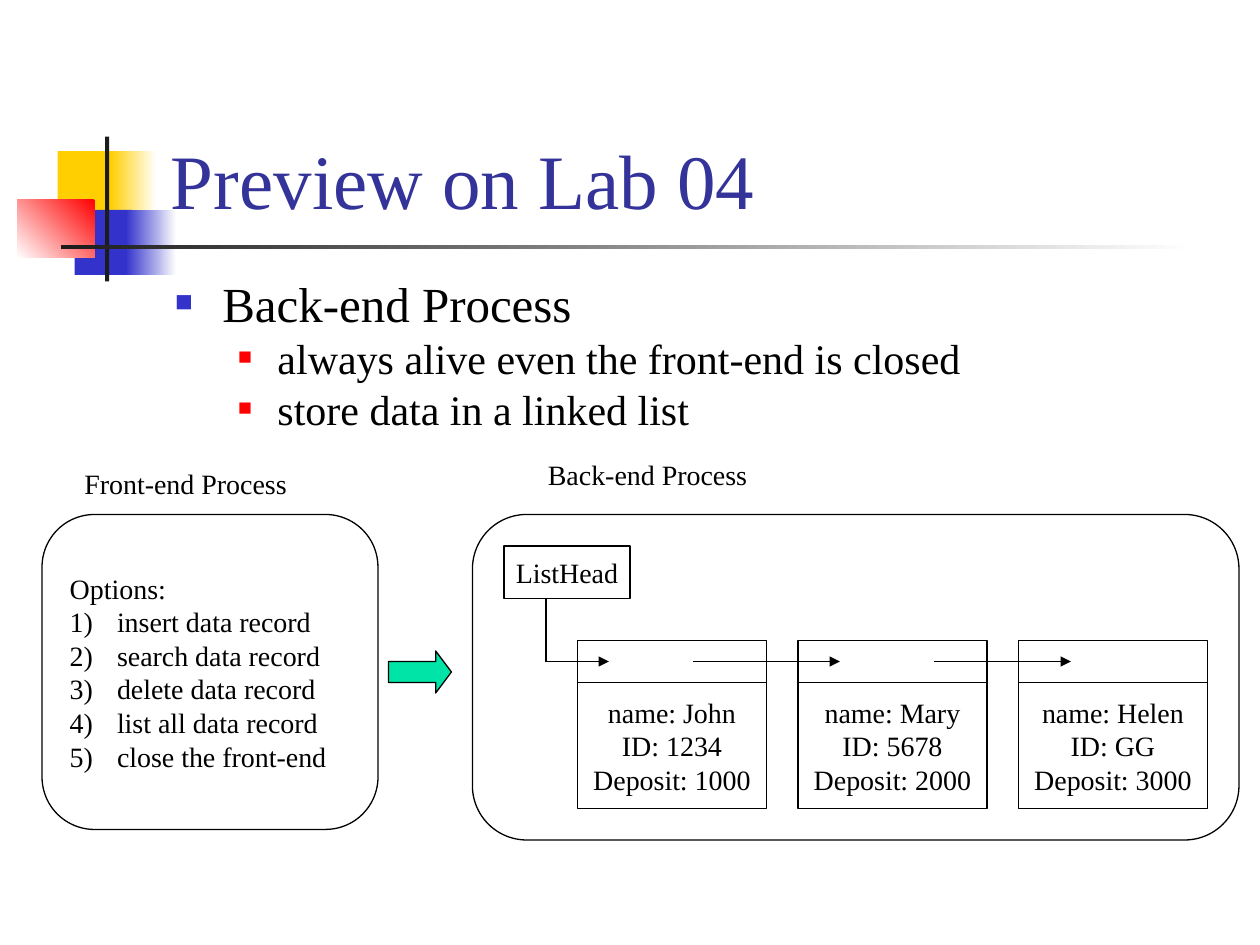
from dataclasses import dataclass
from typing import Optional

from lxml.etree import SubElement as Sub
from pptx import Presentation
from pptx.dml.color import RGBColor
from pptx.enum.shapes import MSO_CONNECTOR as Conn, MSO_SHAPE as Kind
from pptx.enum.text import MSO_ANCHOR as Anchor, PP_ALIGN as Align
from pptx.oxml.ns import qn
from pptx.util import Inches, Pt

CELL = 1 / 12
FACE = "Times New Roman"
BLACK, WHITE = "000000", "FFFFFF"
GOLD, BLUE, RED, DARK = "FFCF01", "3333CC", "FF0000", "1C1C1C"


@dataclass(frozen=True)
class Box:
    col: float
    row: float
    wide: float
    high: float

    def place(self) -> tuple:
        return tuple(cells(n) for n in (self.col, self.row, self.wide, self.high))


@dataclass(frozen=True)
class Block:
    box: Box
    first: str
    last: Optional[str] = None
    angle: float = 180


@dataclass(frozen=True)
class Mark:
    color: str
    share: int = 100
    char: str = ""


@dataclass(frozen=True)
class Para:
    text: str
    size: float = 16
    color: str = BLACK
    level: int = 0
    left: float = 0
    hang: float = 0
    mark: Optional[Mark] = None
    lead: float = 1
    before: float = 0


@dataclass(frozen=True)
class Node:
    name: str
    code: str
    money: int


@dataclass(frozen=True)
class Wire:
    x1: float
    y1: float
    x2: float
    y2: float
    arrow: bool = True


def cells(n: float) -> int:
    return Inches(n * CELL)


def tint(code: str) -> RGBColor:
    return RGBColor.from_string(code)


def shape(page, box: Box, kind=Kind.RECTANGLE, fill: str = "", line: str = BLACK):
    item = page.shapes.add_shape(kind, *box.place())
    item.shadow.inherit = False
    if fill:
        item.fill.solid()
        item.fill.fore_color.rgb = tint(fill)
    else:
        item.fill.background()
    if line:
        item.line.color.rgb = tint(line)
        item.line.width = Pt(0.75)
    else:
        item.line.fill.background()
    return item


def block(page, part: Block) -> None:
    item = shape(page, part.box, fill=part.first, line="")
    if part.last:
        item.fill.gradient()
        item.fill.gradient_angle = part.angle
        for stop, code in zip(item.fill.gradient_stops, (part.first, part.last)):
            stop.color.rgb = tint(code)


def bullet(props, mark: Mark) -> None:
    Sub(Sub(props, qn("a:buClr")), qn("a:srgbClr"), val=mark.color)
    Sub(props, qn("a:buSzPct"), val=str(mark.share * 1000))
    Sub(props, qn("a:buFont"), typeface=FACE)
    if mark.char:
        Sub(props, qn("a:buChar"), char=mark.char)
    else:
        Sub(props, qn("a:buAutoNum"), type="arabicParenR")


def write(item, paras: list[Para], align=Align.LEFT, anchor=Anchor.MIDDLE,
          wrap: bool = True) -> None:
    frame = item.text_frame
    frame.word_wrap = wrap
    frame.vertical_anchor = anchor
    for i, para in enumerate(paras):
        p = frame.paragraphs[0] if i == 0 else frame.add_paragraph()
        p.text, p.level, p.alignment = para.text, para.level, align
        p.line_spacing, p.space_before = para.lead, Pt(para.before)
        props = p._p.get_or_add_pPr()
        props.set("marL", str(cells(para.left)))
        props.set("indent", str(cells(-para.hang)))
        if para.mark:
            bullet(props, para.mark)
        p.font.name, p.font.size = FACE, Pt(para.size)
        p.font.color.rgb = tint(para.color)


def label(page, box: Box, paras: list[Para], anchor=Anchor.TOP) -> None:
    write(page.shapes.add_textbox(*box.place()), paras, anchor=anchor)


def wire(page, run: Wire) -> None:
    ends = (cells(n) for n in (run.x1, run.y1, run.x2, run.y2))
    item = page.shapes.add_connector(Conn.STRAIGHT, *ends)
    item.line.color.rgb = tint(BLACK)
    item.line.width = Pt(0.75)
    if run.arrow:
        Sub(item.line._get_or_add_ln(), qn("a:tailEnd"), type="triangle")
    Sub(item._element.spPr, qn("a:effectLst"))


def node(page, col: float, data: Node) -> None:
    body = shape(page, Box(col, 65, 18, 12))
    lines = (f"name: {data.name}", f"ID: {data.code}", f"Deposit: {data.money}")
    write(body, [Para(t) for t in lines], Align.CENTER, wrap=False)
    shape(page, Box(col, 61, 18, 4))


BLOCKS = [
    Block(Box(5.5, 14.4, 5.8, 6.2), GOLD),
    Block(Box(10.5, 14.4, 4.4, 6.2), WHITE, GOLD),
    Block(Box(7.1, 20, 5.5, 6.2), BLUE),
    Block(Box(12, 20, 4.8, 6.2), WHITE, BLUE),
    Block(Box(1.65, 19, 7.4, 5.55), RED, WHITE, 225),
    Block(Box(10, 13, 0.4, 13.8), DARK),
    Block(Box(5.8, 23.35, 108, 0.4), WHITE, DARK),
]
NODES = [Node("John", "1234", 1000), Node("Mary", "5678", 2000), Node("Helen", "GG", 3000)]
WIRES = [
    Wire(66, 63, 80, 63),
    Wire(89, 63, 102, 63),
    Wire(52, 57, 52, 63, False),
    Wire(52, 63, 58, 63),
]
POINTS = ["always alive even the front-end is closed", "store data in a linked list"]
TASKS = ["insert data record", "search data record", "delete data record",
         "list all data record", "close the front-end"]


def main() -> None:
    deck = Presentation()
    deck.slide_width, deck.slide_height = cells(120), cells(90)
    page = deck.slides.add_slide(deck.slide_layouts[6])

    for part in BLOCKS:
        block(page, part)
    label(page, Box(15.1, 2.8, 102.2, 19.2),
          [Para("Preview on Lab 04", 44, "333399")], Anchor.BOTTOM)
    head = Para("Back-end Process", 28, left=4.5, hang=4.5,
                mark=Mark(BLUE, 60, "■"), lead=0.8, before=7)
    subs = [Para(t, 24, level=1, left=9.75, hang=3.75,
                 mark=Mark(RED, 55, "■"), lead=0.8, before=6) for t in POINTS]
    label(page, Box(15.5, 26.5, 102, 15.5), [head, *subs])

    for i, data in enumerate(NODES):
        node(page, 55 + 21 * i, data)
    for run in WIRES:
        wire(page, run)
    write(shape(page, Box(48, 52, 12, 5)), [Para("ListHead")], Align.CENTER, wrap=False)
    shape(page, Box(45, 49, 73, 31), Kind.ROUNDED_RECTANGLE)
    label(page, Box(51, 43, 22.5, 4.4), [Para("Back-end Process")])

    menu = shape(page, Box(4, 49, 32, 30), Kind.ROUNDED_RECTANGLE)
    tasks = [Para(t, left=4.5, hang=4.5, mark=Mark(BLACK)) for t in TASKS]
    write(menu, [Para("Options:", left=4.5, hang=4.5), *tasks])
    label(page, Box(6.85, 43.8, 22.5, 4.4), [Para("Front-end Process")])
    arrow = shape(page, Box(37, 62, 6, 4), Kind.RIGHT_ARROW, "00E4A8")
    arrow.adjustments[1] = 0.375

    deck.save("out.pptx")


if __name__ == "__main__":
    main()
